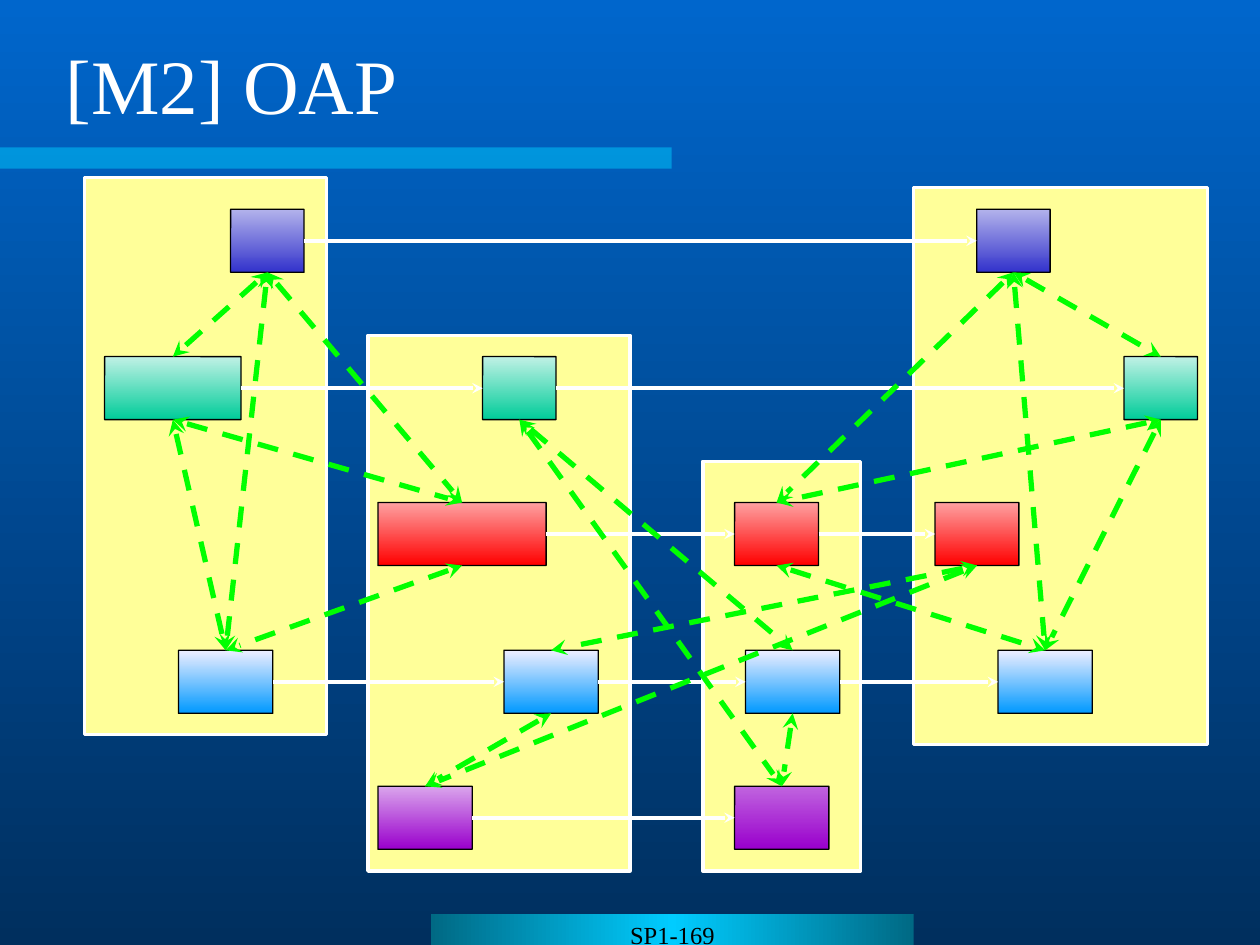
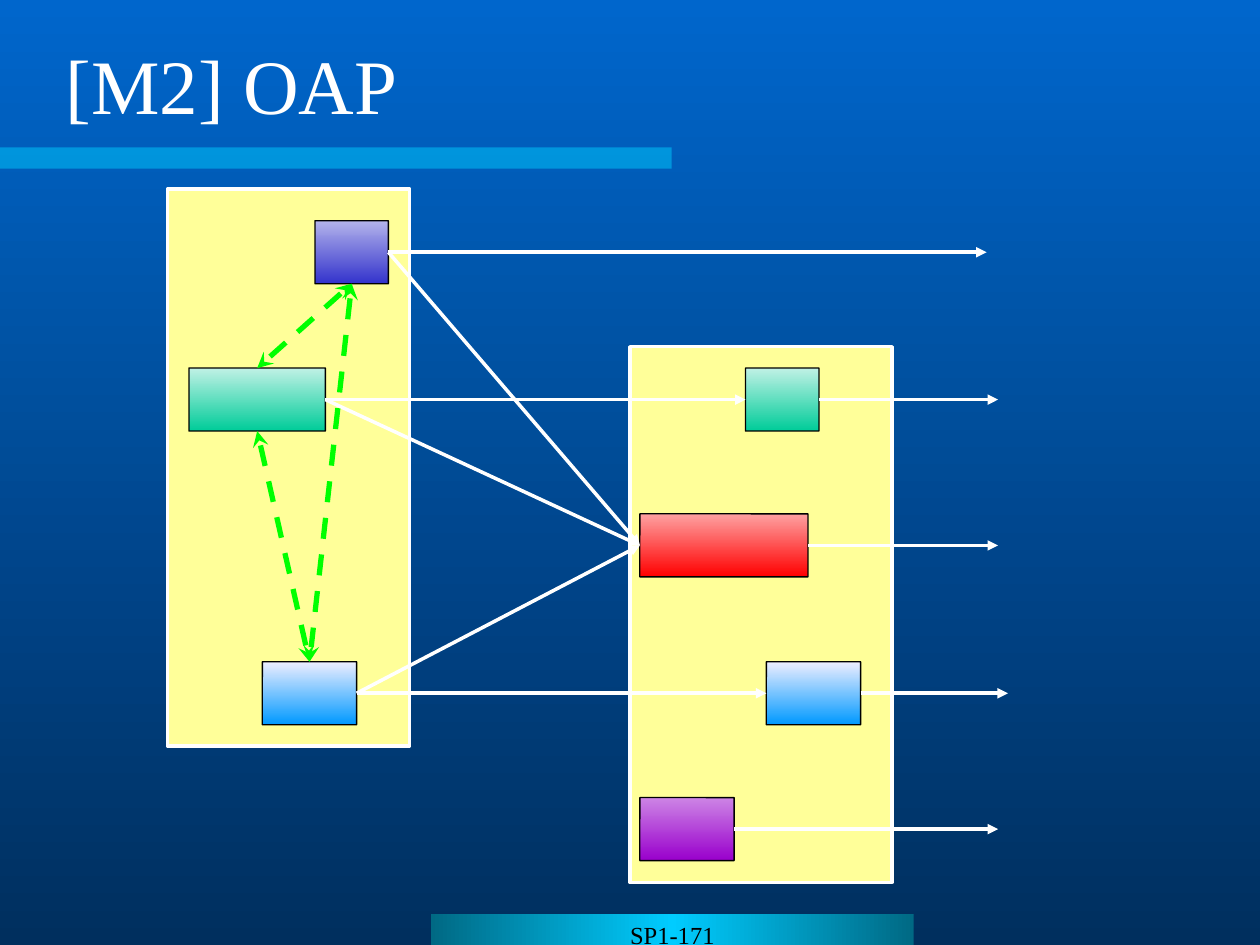
from copy import deepcopy

from lxml import etree
from pptx import Presentation
from pptx.dml.color import RGBColor
from pptx.enum.dml import MSO_LINE
from pptx.enum.shapes import MSO_CONNECTOR, MSO_SHAPE
from pptx.enum.text import MSO_ANCHOR, PP_ALIGN
from pptx.oxml.ns import qn
from pptx.util import Cm, Pt

RECT, ROUND = MSO_SHAPE.RECTANGLE, MSO_SHAPE.ROUNDED_RECTANGLE
STRAIGHT, DASH = MSO_CONNECTOR.STRAIGHT, MSO_LINE.DASH
LEFT, CENTER = PP_ALIGN.LEFT, PP_ALIGN.CENTER
TOP, MIDDLE = MSO_ANCHOR.TOP, MSO_ANCHOR.MIDDLE
SIDE_TOP, SIDE_LEFT, SIDE_BOTTOM, SIDE_RIGHT = range(4)

FONT = "Times New Roman"
COLORS = {
    "white": "FFFFFF", "black": "000000", "lime": "00FF00",
    "panel": "FFFF99", "band": "00CCFF", "edge": "006984",
    "sky_top": "0066CC", "sky_end": "002F5E",
}
# Node kinds, from the top row down: row top in cm, light and full colour
ROWS = {
    "blue": (4.22, "B3B3EB", "3333CC"),
    "green": (7.19, "C0F1E5", "00CC99"),
    "red": (10.13, "FEA1A1", "FF0000"),
    "sky": (13.11, "EEEEFF", "0099FF"),
    "plum": (15.85, "DAA5EC", "9900CC"),
}
NODE_HIGH = 1.27
SHIFT = 0.23  # how far the second diagram sits below the first


def rgb(name):
    return RGBColor.from_string(COLORS.get(name, name))


def write(frame, text, size=14, color="black", align=LEFT, anchor=TOP):
    frame.word_wrap = True
    frame.vertical_anchor = anchor
    frame.text = text
    para = frame.paragraphs[0]
    para.alignment = align
    font = para.runs[0].font
    font.name, font.size = FONT, Pt(size)
    font.color.rgb = rgb(color)


def blend(fill, owner, colors, angle):
    """Spread the colours evenly along a linear gradient."""
    fill.gradient()
    fill.gradient_angle = angle
    stops = next(owner.element.iter(qn("a:gsLst")))
    while len(stops) < len(colors):
        stops.append(deepcopy(stops[0]))
    for i, (stop, color) in enumerate(zip(fill.gradient_stops, colors)):
        stop.color.rgb = rgb(color)
        stop.position = i / (len(colors) - 1)


class Deck:
    def __init__(self):
        self.prs = Presentation()
        self.prs.slide_width, self.prs.slide_height = Cm(25.4), Cm(19.05)
        self.slide = None
        self.shift = 0

    def start(self, title, label, shift=0):
        """Open a slide with its ground, band, footer and title."""
        self.slide = self.prs.slides.add_slide(self.prs.slide_layouts[5])
        self.shift = 0
        blend(self.slide.background.fill, self.slide, ("sky_top", "sky_end"), 270)
        band = self.box(0, 2.97, 13.54, 0.43, fill="band")
        tint = next(band.element.spPr.iter(qn("a:srgbClr")))
        etree.SubElement(tint, qn("a:alpha"), val="50000")
        foot = self.box(8.69, 18.42, 9.73, 0.63, fill=("edge", "band", "edge"), angle=0)
        write(foot.text_frame, label, align=CENTER)
        head = self.slide.shapes.title
        head.left, head.top, head.width, head.height = map(Cm, (1.07, 0.64, 23.5, 2.11))
        write(head.text_frame, title, size=44, color="white", anchor=MIDDLE)
        self.shift = shift

    def box(self, x, y, wide, high, fill, line=None, weight=1, kind=RECT, angle=270):
        shape = self.slide.shapes.add_shape(
            kind, Cm(x), Cm(y + self.shift), Cm(wide), Cm(high))
        shape.shadow.inherit = False
        if isinstance(fill, tuple):
            blend(shape.fill, shape, fill, angle)
        else:
            shape.fill.solid()
            shape.fill.fore_color.rgb = rgb(fill)
        if line:
            shape.line.color.rgb = rgb(line)
            shape.line.width = Pt(weight)
        else:
            shape.line.fill.background()
        return shape

    def panel(self, x, y, wide, high):
        self.box(x, y, wide, high, fill="panel", line="white", weight=2)

    def node(self, row, x, wide, light=None):
        y, pale, full = ROWS[row]
        shape = self.box(x, y, wide, NODE_HIGH, fill=(light or pale, full),
                         line="black", weight=0.75, kind=ROUND)
        shape.adjustments[0] = 0.003
        return shape

    def wire(self, color, weight, **ends):
        line = self.slide.shapes.add_connector(STRAIGHT, 0, 0, 0, 0)
        line.line.color.rgb = rgb(color)
        line.line.width = Pt(weight)
        props = line.line._get_or_add_ln()
        for end, kind in ends.items():
            etree.SubElement(props, qn("a:" + end), type=kind)
        etree.SubElement(line.element.spPr, qn("a:effectLst"))
        return line

    def flow(self, start, end, tip):
        """White arrow to the right, to a node or to an x place in cm."""
        line = self.wire("white", 2, tailEnd=tip)
        line.begin_connect(start, SIDE_RIGHT)
        if isinstance(end, float):
            line.end_x, line.end_y = Cm(end), line.begin_y
        else:
            line.end_connect(end, SIDE_LEFT)

    def link(self, upper, lower):
        """Green dashed two-way arrow between two rows."""
        line = self.wire("lime", 3, headEnd="stealth", tailEnd="stealth")
        line.line.dash_style = DASH
        line.begin_connect(upper, SIDE_BOTTOM)
        line.end_connect(lower, SIDE_TOP)

    def draw(self, panels, nodes, flows, links, tip):
        for panel in panels:
            self.panel(*panel)
        made = {}
        for name, place in nodes.items():
            made[name] = self.node(name.rstrip("1234"), *place)
        for start, end in flows:
            self.flow(made[start], made.get(end, end), tip)
        for upper, lower in links:
            self.link(made[upper], made[lower])


def main():
    deck = Deck()

    # Four groups, fully linked
    deck.start("[M2] OAP", "SP1-169")
    deck.draw(
        panels=[(18.42, 3.78, 5.92, 11.23), (14.17, 9.3, 3.18, 8.26),
                (7.42, 6.76, 5.28, 10.8), (1.7, 3.58, 4.88, 11.23)],
        nodes={
            "blue1": (4.65, 1.48), "blue2": (19.69, 1.48),
            "green1": (2.11, 2.75), "green2": (9.73, 1.48), "green3": (22.66, 1.48),
            "red1": (7.62, 3.39), "red2": (14.81, 1.69), "red3": (18.85, 1.69),
            "sky1": (3.6, 1.9), "sky2": (10.16, 1.9),
            "sky3": (15.03, 1.9), "sky4": (20.12, 1.9),
            "plum1": (7.62, 1.9), "plum2": (14.81, 1.9, "C064DF"),
        },
        flows=[("blue1", "blue2"), ("green1", "green2"), ("green2", "green3"),
               ("red1", "red2"), ("red2", "red3"), ("sky1", "sky2"),
               ("sky2", "sky3"), ("sky3", "sky4"), ("plum1", "plum2")],
        links=[("blue1", "green1"), ("blue1", "sky1"), ("green1", "sky1"),
               ("red1", "sky1"), ("green1", "red1"), ("green2", "sky3"),
               ("blue1", "red1"), ("red2", "sky4"), ("red3", "sky2"),
               ("red3", "plum1"), ("sky2", "plum1"), ("sky3", "plum2"),
               ("green2", "plum2"), ("green3", "red2"), ("blue2", "red2"),
               ("blue2", "sky4"), ("green3", "sky4"), ("blue2", "green3")],
        tip="stealth")

    # Two groups, with flows running on
    deck.start("[M2] OAP", "SP1-171", shift=SHIFT)
    deck.draw(
        panels=[(12.7, 6.76, 5.28, 10.8), (3.38, 3.58, 4.88, 11.23)],
        nodes={
            "blue1": (6.35, 1.48),
            "green1": (3.81, 2.75), "green2": (15.03, 1.48),
            "red1": (12.9, 3.39),
            "sky1": (5.29, 1.9), "sky2": (15.45, 1.9),
            "plum1": (12.9, 1.9, "CD85E5"),
        },
        flows=[("blue1", 19.89), ("green1", "green2"), ("green2", 20.12),
               ("red1", 20.12), ("sky1", "sky2"), ("sky2", 20.32),
               ("plum1", 20.12), ("green1", "red1"), ("blue1", "red1"),
               ("sky1", "red1")],
        links=[("blue1", "green1"), ("blue1", "sky1"), ("green1", "sky1")],
        tip="triangle")

    deck.prs.save("out.pptx")


if __name__ == "__main__":
    main()
